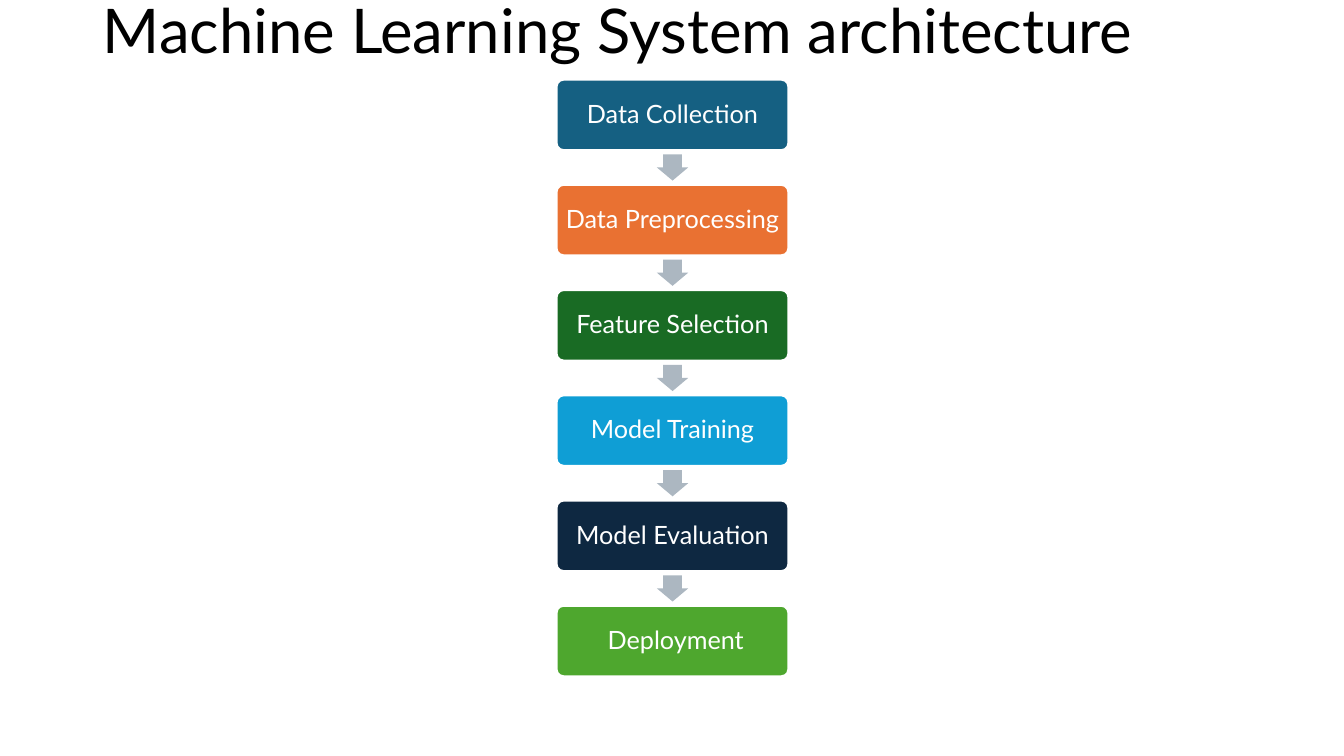
from pptx import Presentation
from pptx.dml.color import RGBColor
from pptx.enum.shapes import MSO_SHAPE
from pptx.enum.text import MSO_ANCHOR, MSO_AUTO_SIZE, PP_ALIGN
from pptx.util import Inches, Pt

FONT = "Lato"
BLACK = RGBColor(0x00, 0x00, 0x00)
WHITE = RGBColor(0xFF, 0xFF, 0xFF)
ARROW_GREY = RGBColor(0xAC, 0xB7, 0xC1)
STEPS = [
    ("Data Collection", RGBColor(0x15, 0x60, 0x82)),
    ("Data Preprocessing", RGBColor(0xE9, 0x71, 0x32)),
    ("Feature Selection", RGBColor(0x19, 0x6B, 0x24)),
    ("Model Training", RGBColor(0x0F, 0x9E, 0xD5)),
    ("Model Evaluation", RGBColor(0x0E, 0x28, 0x41)),
    (" Deployment", RGBColor(0x4E, 0xA7, 0x2E)),
]


def set_text(tf, text, size, color, align):
    tf.word_wrap = True
    tf.auto_size = MSO_AUTO_SIZE.NONE
    tf.vertical_anchor = MSO_ANCHOR.MIDDLE
    tf.text = text
    p = tf.paragraphs[0]
    p.alignment = align
    p.line_spacing = 0.9
    font = p.runs[0].font
    font.name = FONT
    font.size = Pt(size)
    font.color.rgb = color


def place_title(s, text, left, top, width, height):
    title = s.shapes.title
    title.left, title.top = Inches(left), Inches(top)
    title.width, title.height = Inches(width), Inches(height)
    set_text(title.text_frame, text, 44, BLACK, PP_ALIGN.LEFT)


def add_step(shapes, text, color, left, top, width, height):
    sp = shapes.add_shape(MSO_SHAPE.ROUNDED_RECTANGLE, Inches(left), Inches(top),
                          Inches(width), Inches(height))
    sp.adjustments[0] = 0.1
    sp.shadow.inherit = False
    sp.fill.solid()
    sp.fill.fore_color.rgb = color
    sp.line.color.rgb = WHITE
    sp.line.width = Pt(1.5)
    tf = sp.text_frame
    tf.margin_left = tf.margin_right = tf.margin_top = tf.margin_bottom = Inches(0.07)
    set_text(tf, text, 18, WHITE, PP_ALIGN.CENTER)


def add_down_arrow(shapes, center_x, center_y, length=0.26, breadth=0.31):
    sp = shapes.add_shape(MSO_SHAPE.RIGHT_ARROW, Inches(center_x - length / 2),
                          Inches(center_y - breadth / 2), Inches(length), Inches(breadth))
    sp.rotation = 90
    sp.adjustments[0] = 0.6
    sp.adjustments[1] = 0.5
    sp.shadow.inherit = False
    sp.fill.solid()
    sp.fill.fore_color.rgb = ARROW_GREY
    sp.line.fill.background()


def add_flow(s, steps, left, top, width, height, step_height=0.7):
    shapes = s.shapes.add_group_shape().shapes
    pitch = (height - step_height) / (len(steps) - 1)
    for i, (text, color) in enumerate(steps):
        step_top = top + i * pitch
        if i:
            add_down_arrow(shapes, left + width / 2, step_top - (pitch - step_height) / 2)
        add_step(shapes, text, color, left, step_top, width, step_height)


def main():
    prs = Presentation()
    prs.slide_width, prs.slide_height = Inches(13.33), Inches(7.5)
    s = prs.slides.add_slide(prs.slide_layouts[5])
    place_title(s, "Machine Learning System architecture", 0.92, -0.39, 11.5, 1.45)
    add_flow(s, STEPS, 5.52, 0.79, 2.3, 5.92)
    prs.save("out.pptx")


if __name__ == "__main__":
    main()
